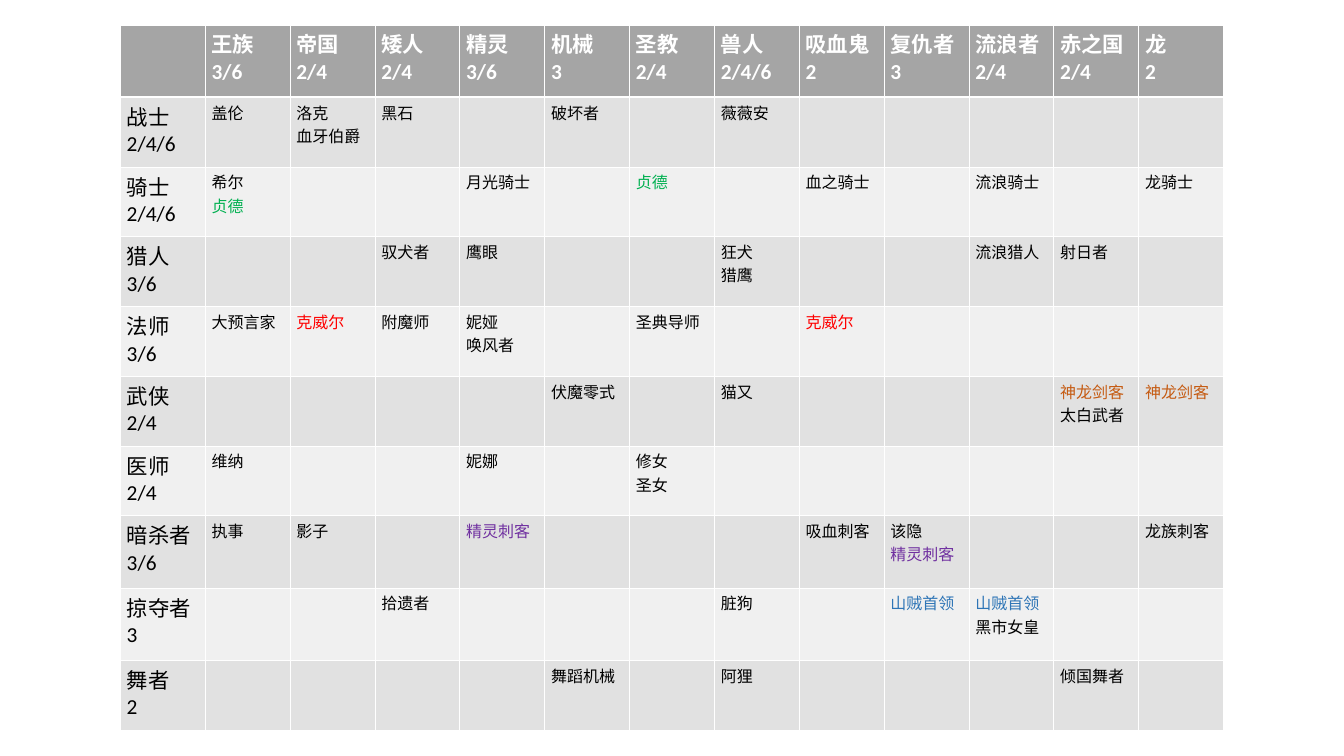
from lxml import etree
from pptx import Presentation
from pptx import util as u
from pptx.dml.color import RGBColor
from pptx.oxml import ns

FONT = "Calibri"
WHITE = RGBColor(0xFF, 0xFF, 0xFF)
BLACK = RGBColor(0x00, 0x00, 0x00)
HEADER_GREY = RGBColor(0xA5, 0xA5, 0xA5)
BANDS = (RGBColor(0xE1, 0xE1, 0xE1), RGBColor(0xF0, 0xF0, 0xF0))
GREEN = RGBColor(0x00, 0xB0, 0x50)
RED = RGBColor(0xFF, 0x00, 0x00)
ORANGE = RGBColor(0xC5, 0x5A, 0x11)
PURPLE = RGBColor(0x70, 0x30, 0xA0)
BLUE = RGBColor(0x2E, 0x75, 0xB6)

SHARED_HEROES = {
    "贞德": GREEN,
    "克威尔": RED,
    "神龙剑客": ORANGE,
    "精灵刺客": PURPLE,
    "山贼首领": BLUE,
}

FACTIONS = {
    "王族": "3/6", "帝国": "2/4", "矮人": "2/4", "精灵": "3/6",
    "机械": "3", "圣教": "2/4", "兽人": "2/4/6", "吸血鬼": "2",
    "复仇者": "3", "流浪者": "2/4", "赤之国": "2/4", "龙": "2",
}

CLASSES = [
    ("战士", "2/4/6", {"王族": ["盖伦"], "帝国": ["洛克", "血牙伯爵"], "矮人": ["黑石"],
                     "机械": ["破坏者"], "兽人": ["薇薇安"]}),
    ("骑士", "2/4/6", {"王族": ["希尔", "贞德"], "精灵": ["月光骑士"], "圣教": ["贞德"],
                     "吸血鬼": ["血之骑士"], "流浪者": ["流浪骑士"], "龙": ["龙骑士"]}),
    ("猎人", "3/6", {"矮人": ["驭犬者"], "精灵": ["鹰眼"], "兽人": ["狂犬", "猎鹰"],
                   "流浪者": ["流浪猎人"], "赤之国": ["射日者"]}),
    ("法师", "3/6", {"王族": ["大预言家"], "帝国": ["克威尔"], "矮人": ["附魔师"],
                   "精灵": ["妮娅", "唤风者"], "圣教": ["圣典导师"], "吸血鬼": ["克威尔"]}),
    ("武侠", "2/4", {"机械": ["伏魔零式"], "兽人": ["猫又"],
                   "赤之国": ["神龙剑客", "太白武者"], "龙": ["神龙剑客"]}),
    ("医师", "2/4", {"王族": ["维纳"], "精灵": ["妮娜"], "圣教": ["修女", "圣女"]}),
    ("暗杀者", "3/6", {"王族": ["执事"], "帝国": ["影子"], "精灵": ["精灵刺客"],
                    "吸血鬼": ["吸血刺客"], "复仇者": ["该隐", "精灵刺客"], "龙": ["龙族刺客"]}),
    ("掠夺者", "3", {"矮人": ["拾遗者"], "兽人": ["脏狗"], "复仇者": ["山贼首领"],
                  "流浪者": ["山贼首领", "黑市女皇"]}),
    ("舞者", "2", {"机械": ["舞蹈机械"], "兽人": ["阿狸"], "赤之国": ["倾国舞者"]}),
]

ROW_HEIGHT, TALL_ROW_HEIGHT = 1.09, 1.13
TALL_ROWS = (0, 7, 8)


def set_borders(cell, top, bottom):
    properties = cell._tc.get_or_add_tcPr()
    widths = {"lnL": 1, "lnR": 1, "lnT": top, "lnB": bottom}
    for position, (side, width) in enumerate(widths.items()):
        line = etree.Element(ns.qn("a:" + side), w=str(u.Pt(width)))
        fill = etree.SubElement(line, ns.qn("a:solidFill"))
        etree.SubElement(fill, ns.qn("a:srgbClr"), val=str(WHITE))
        properties.insert(position, line)


def fill_cell(cell, lines, size, background, color=BLACK, bold=False):
    cell.fill.solid()
    cell.fill.fore_color.rgb = background
    frame = cell.text_frame
    for index, line in enumerate(lines):
        paragraph = frame.add_paragraph() if index else frame.paragraphs[0]
        run = paragraph.add_run()
        run.text = line
        run.font.name = FONT
        run.font.size = u.Pt(size)
        run.font.bold = bold
        run.font.color.rgb = SHARED_HEROES.get(line, color)


def add_hero_table(slide, left, top, width, height):
    row_count, column_count = len(CLASSES) + 1, len(FACTIONS) + 1
    heroes = slide.shapes.add_table(
        row_count, column_count,
        u.Inches(left), u.Inches(top), u.Inches(width), u.Inches(height)).table
    for column in heroes.columns:
        column.width = u.Inches(width / column_count)
    for index, row in enumerate(heroes.rows):
        row.height = u.Inches(TALL_ROW_HEIGHT if index in TALL_ROWS else ROW_HEIGHT)

    fill_cell(heroes.cell(0, 0), [], 24, HEADER_GREY)
    for column, faction in enumerate(FACTIONS.items(), 1):
        fill_cell(heroes.cell(0, column), faction, 24, HEADER_GREY, WHITE, True)
    for row, (name, bonus, members) in enumerate(CLASSES, 1):
        band = BANDS[(row - 1) % 2]
        fill_cell(heroes.cell(row, 0), (name, bonus), 24, band)
        for column, faction in enumerate(FACTIONS, 1):
            fill_cell(heroes.cell(row, column), members.get(faction, []), 18, band)

    for row in range(row_count):
        for column in range(column_count):
            set_borders(heroes.cell(row, column),
                        top=3 if row == 1 else 1, bottom=3 if row == 0 else 1)


deck = Presentation()
deck.slide_width, deck.slide_height = u.Inches(21), u.Inches(11.81)
hero_slide = deck.slides.add_slide(deck.slide_layouts[6])
add_hero_table(hero_slide, 1.88, 0.39, 17.24, 11.03)
deck.save("out.pptx")
